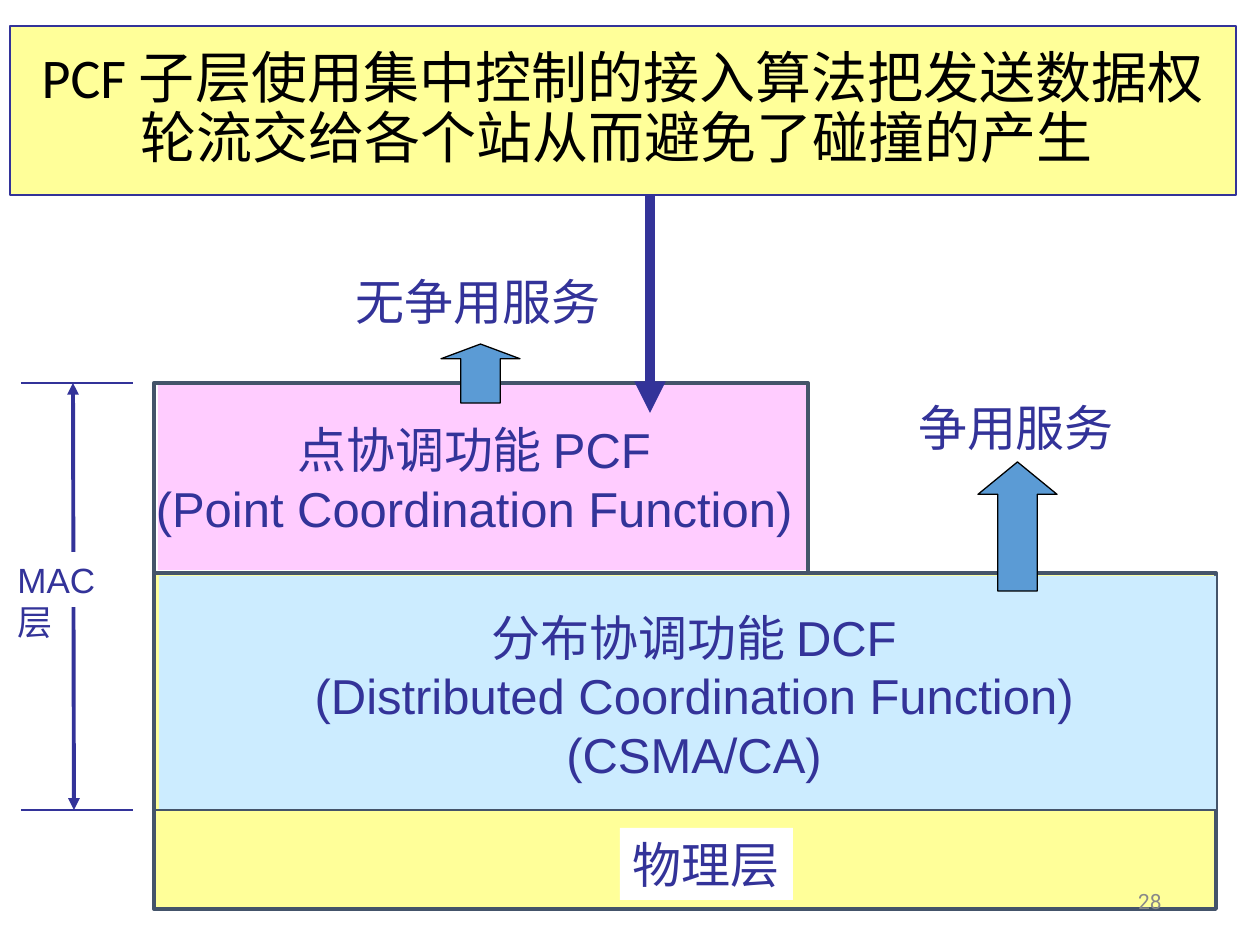
from lxml.etree import SubElement
from pptx import Presentation
from pptx.dml.color import RGBColor
from pptx.enum.shapes import MSO_CONNECTOR as Connector, MSO_SHAPE as Shape
from pptx.enum.text import MSO_ANCHOR as Anchor, PP_ALIGN as Align
from pptx.oxml.ns import qn
from pptx.util import Emu, Pt

PX_PER_INCH = 126
NAVY, SLATE, YELLOW, WHITE = "333399", "44546A", "FFFF99", "FFFFFF"


def px(length):
    return Emu(round(length * 914400 / PX_PER_INCH))


def rgb(value):
    return RGBColor.from_string(value)


def add_block(slide, box, fill=None, line=None, weight=2.25, kind=Shape.RECTANGLE):
    block = slide.shapes.add_shape(kind, *map(px, box))
    block.shadow.inherit = False
    if fill:
        block.fill.solid()
        block.fill.fore_color.rgb = rgb(fill)
    else:
        block.fill.background()
    if line:
        block.line.color.rgb = rgb(line)
        block.line.width = Pt(weight)
    else:
        block.line.fill.background()
    return block


def add_text(slide, box, text, size=28, font="Arial", color=NAVY, align=Align.LEFT,
             anchor=Anchor.TOP, wrap=False, spacing=None, **block_format):
    if block_format:
        holder = add_block(slide, box, **block_format)
    else:
        holder = slide.shapes.add_textbox(*map(px, box))
    frame = holder.text_frame
    frame.word_wrap = wrap
    frame.vertical_anchor = anchor
    frame.text = text
    for paragraph in frame.paragraphs:
        paragraph.alignment = align
        if spacing:
            paragraph.line_spacing = spacing
        for run in paragraph.runs:
            run.font.size = Pt(size)
            run.font.name = font
            run.font.color.rgb = rgb(color)
    return holder


def add_line(slide, start, end, color=NAVY, weight=1.5, arrowheads=()):
    line = slide.shapes.add_connector(Connector.STRAIGHT, *map(px, start + end))
    line.line.color.rgb = rgb(color)
    line.line.width = Pt(weight)
    outline = line.line._get_or_add_ln()
    for side in arrowheads:
        SubElement(outline, qn(f"a:{side}"), type="triangle")
    SubElement(line._element.spPr, qn("a:effectLst"))


def add_service_arrow(slide, box, head):
    arrow = add_block(slide, box, "5B9BD5", "000000", 0.75, Shape.UP_ARROW)
    arrow.adjustments[0] = 0.5
    arrow.adjustments[1] = head


def main():
    deck = Presentation()
    deck.slide_width, deck.slide_height = px(1260), px(945)
    slide = deck.slides.add_slide(deck.slide_layouts[6])
    mac_top, mac_bottom = 383, 810

    add_line(slide, (73, mac_top), (74, mac_bottom), weight=2.25,
             arrowheads=("headEnd", "tailEnd"))
    mac_label = add_text(slide, (5, 552, 147, 55), "MAC 层", size=20, wrap=True, fill=WHITE)
    mac_label.text_frame.margin_right = px(30)
    add_text(slide, (343, 265, 277, 72), "无争用服务", wrap=True)

    add_block(slide, (154, 573, 1062, 336), YELLOW, SLATE)
    add_block(slide, (159, 576, 1057, 234), "CCECFF")
    add_block(slide, (158, mac_top, 650, 187), "FFCCFF")
    add_text(slide, (905, 391, 222, 72), "争用服务", align=Align.CENTER)
    add_text(slide, (300, 601, 788, 189),
             "分布协调功能 DCF\n(Distributed Coordination Function)\n(CSMA/CA)",
             align=Align.CENTER)
    add_text(slide, (142, 413, 664, 130),
             "点协调功能 PCF\n(Point Coordination Function)", align=Align.CENTER)
    add_block(slide, (154, mac_top, 654, 190), line=SLATE)
    add_text(slide, (620, 828, 173, 72), "物理层", fill=WHITE)

    for boundary in (mac_top, mac_bottom):
        add_line(slide, (21, boundary), (133, boundary))
    add_line(slide, (153, mac_bottom), (1216, mac_bottom), color=SLATE)
    add_service_arrow(slide, (978, 462, 79, 129), 0.41)
    add_service_arrow(slide, (441, 344, 79, 59), 0.25)

    add_text(slide, (10, 26, 1226, 169),
             "PCF 子层使用集中控制的接入算法把发送数据权\v轮流交给各个站从而避免了碰撞的产生 ",
             size=32, font="Calibri", color="000000", align=Align.CENTER,
             anchor=Anchor.MIDDLE, wrap=True, spacing=0.9,
             fill=YELLOW, line=NAVY, weight=0.75)
    add_line(slide, (650, 195), (650, 413), weight=6, arrowheads=("tailEnd",))
    add_text(slide, (890, 876, 284, 50), "28", size=12, font="Roboto", color="898989",
             align=Align.RIGHT, anchor=Anchor.MIDDLE, wrap=True)

    deck.save("out.pptx")


if __name__ == "__main__":
    main()
